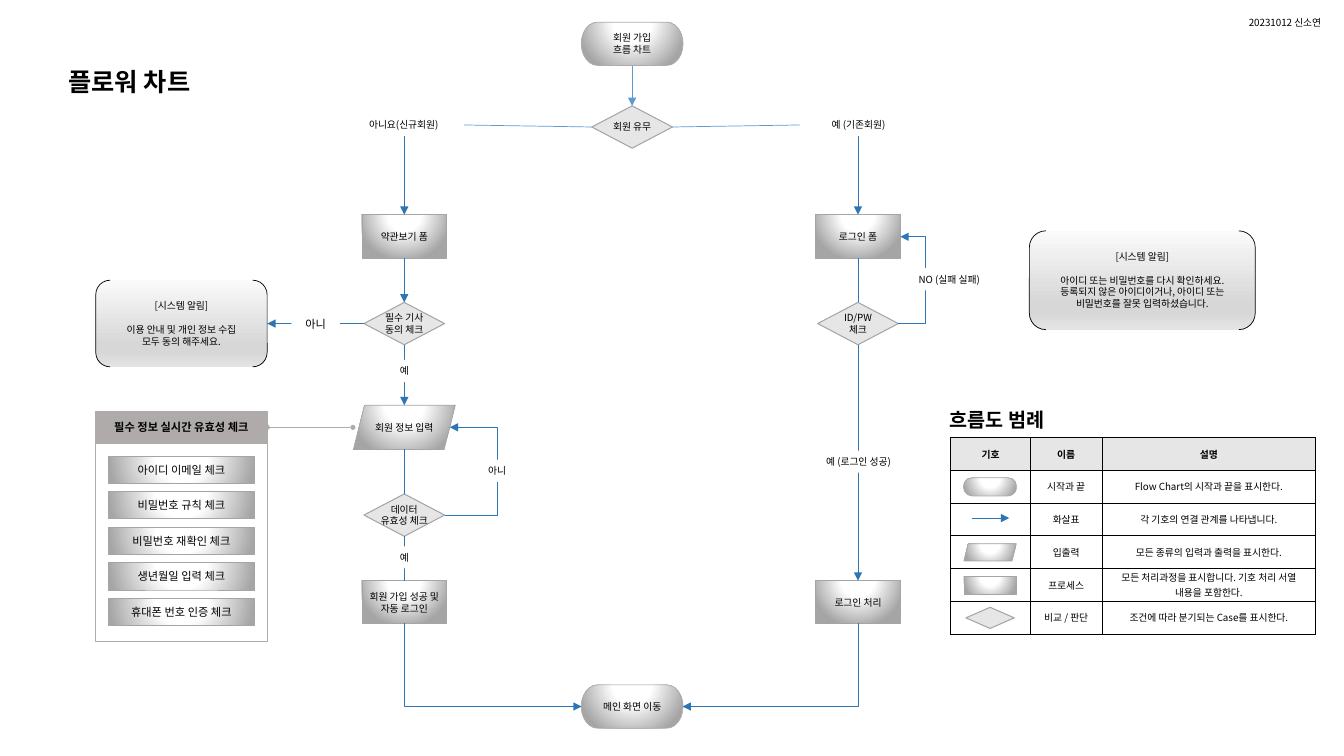
from lxml import etree
from pptx import Presentation
from pptx.dml.color import RGBColor
from pptx.enum.shapes import MSO_CONNECTOR as Wire, MSO_SHAPE as Kind
from pptx.enum.text import MSO_ANCHOR as Anchor, PP_ALIGN as Align
from pptx.oxml import parse_xml
from pptx.oxml.ns import nsdecls, qn
from pptx.util import Inches, Pt

FONT = "Noto Sans CJK KR"
COLORS = {"black": "000000", "white": "FFFFFF", "blue": "2E75B6", "sky": "5B9BD5",
          "gray": "AFABAB", "edge": "A5A5A5", "pale": "E7E6E6"}
METAL = ([(0, "FFFFFF"), (35, "FFFFFF"), (100, "A5A5A5")],
         '<a:path path="circle"><a:fillToRect l="50000" t="-80000" r="50000" b="180000"/></a:path>')
SILVER = ([(0, "FAFAFA"), (74, "D7D7D7"), (83, "D7D7D7"), (100, "E4E4E4")],
          '<a:lin ang="5400000" scaled="0"/>')
JOIN, LOGIN, MIDDLE = 4.01, 8.51, 6.27


def color(name):
    return RGBColor.from_string(COLORS[name])


class FlowPage:
    def __init__(self, deck):
        self.page = deck.slides.add_slide(deck.slide_layouts[5])
        self.shapes = self.page.shapes

    def set_text(self, frame, text, size=7, bold=False, align=Align.CENTER, margin=0,
                 wrap=False, anchor=Anchor.MIDDLE):
        frame.text = text
        frame.word_wrap = wrap
        frame.vertical_anchor = anchor
        frame.margin_left = frame.margin_right = Inches(margin)
        frame.margin_top = frame.margin_bottom = 0
        self.style_text(frame, size, bold, align)

    def style_text(self, frame, size, bold, align):
        for para in frame.paragraphs:
            para.alignment = align
            for span in para.runs:
                span.font.size, span.font.bold, span.font.name = Pt(size), bold, FONT
                span.font.color.rgb = color("black")
                etree.SubElement(span.font._element, qn("a:ea"), typeface=FONT)

    def title(self, text, left, top, width, height):
        box = self.shapes.title
        box.left, box.top, box.width, box.height = map(Inches, (left, top, width, height))
        self.set_text(box.text_frame, text, 18, True, Align.LEFT, 0.1, True)

    def label(self, text, left, top, width, height=0.22, fill=None, **style):
        box = self.shapes.add_textbox(*map(Inches, (left, top, width, height)))
        if fill:
            box.fill.solid()
            box.fill.fore_color.rgb = color(fill)
        self.set_text(box.text_frame, text, **style)

    def gradient(self, shape, recipe):
        stops, direction = recipe
        marks = "".join(f'<a:gs pos="{pos * 1000}"><a:srgbClr val="{tone}"/></a:gs>'
                        for pos, tone in stops)
        shape.fill.background()
        blank = shape._element.spPr.find(qn("a:noFill"))
        blank.getparent().replace(blank, parse_xml(
            f'<a:gradFill {nsdecls("a")} rotWithShape="1"><a:gsLst>{marks}</a:gsLst>'
            f'{direction}</a:gradFill>'))

    def node(self, kind, center, middle, width, height, text="", fill=METAL,
             line="edge", weight=0.5, **style):
        shape = self.shapes.add_shape(kind, *map(Inches, (
            center - width / 2, middle - height / 2, width, height)))
        shape.shadow.inherit = False
        if fill is None:
            shape.fill.background()
        elif isinstance(fill, str):
            shape.fill.solid()
            shape.fill.fore_color.rgb = color(fill)
        else:
            self.gradient(shape, fill)
        if line:
            shape.line.color.rgb = color(line)
            shape.line.width = Pt(weight)
        else:
            shape.line.fill.background()
        if text:
            self.set_text(shape.text_frame, text, **style)
        return shape

    def decision(self, center, middle, text="", width=0.8, height=0.42):
        self.node(Kind.DIAMOND, center, middle, width, height, text, "pale", weight=0.75)

    def alert(self, center, middle, width, height, text):
        shape = self.node(Kind.DOUBLE_BRACKET, center, middle, width, height,
                          text, SILVER, "black", margin=0.12, wrap=True)
        shape.text_frame.paragraphs[1].space_before = Pt(8.5)

    def line(self, x1, y1, x2, y2, tone="blue", arrow="tailEnd", wire=Wire.STRAIGHT):
        link = self.shapes.add_connector(wire, *map(Inches, (x1, y1, x2, y2)))
        link.line.color.rgb = color(tone)
        link.line.width = Pt(0.5)
        if arrow:
            etree.SubElement(link.line._get_or_add_ln(), qn(f"a:{arrow}"), type="triangle")
        etree.SubElement(link._element.spPr, qn("a:effectLst"))
        return link._element.spPr.find(qn("a:prstGeom"))

    def retry(self, x1, y1, x2, y2, turn):
        geometry = self.line(x1, y1, x2, y2, wire=Wire.ELBOW)
        ratio = round((turn - x1) / (x2 - x1) * 100000)
        guides = geometry.get_or_add_avLst()
        etree.SubElement(guides, qn("a:gd"), name="adj1", fmla=f"val {ratio}")

    def corner(self, x1, y1, x2, y2):
        self.line(x1, y1, x2, y2, arrow="headEnd", wire=Wire.ELBOW).set("prst", "bentConnector2")

    def table(self, left, top, widths, row_height, rows):
        frame = self.shapes.add_table(len(rows), len(widths), *map(Inches, (
            left, top, sum(widths), row_height * len(rows))))
        table = frame.table
        for column, width in zip(table.columns, widths):
            column.width = Inches(width)
        for index, row in enumerate(rows):
            table.rows[index].height = Inches(row_height)
            for place, text in enumerate(row):
                self.cell(table.cell(index, place), text, index == 0, 0.16 if place == 2 else 0.02)

    def cell(self, cell, text, header, margin):
        cell.text = text
        cell.vertical_anchor = Anchor.MIDDLE
        cell.margin_left = cell.margin_right = Inches(margin)
        cell.margin_top = cell.margin_bottom = 0
        self.style_text(cell.text_frame, 7, header, Align.CENTER)
        if not text:
            etree.SubElement(cell.text_frame.paragraphs[0]._p, qn("a:endParaRPr"), sz="700")
        for side in ("lnL", "lnR", "lnT", "lnB"):
            cell._tc.get_or_add_tcPr().append(parse_xml(
                f'<a:{side} {nsdecls("a")} w="6350"><a:solidFill><a:srgbClr '
                f'val="{COLORS["black"]}"/></a:solidFill></a:{side}>'))
        if header:
            cell.fill.solid()
            cell.fill.fore_color.rgb = color("pale")
        else:
            cell.fill.background()


deck = Presentation()
deck.slide_width, deck.slide_height = Inches(13.33), Inches(7.5)
flow = FlowPage(deck)
flow.title("플로워 차트", 0.58, 0.61, 2.55, 0.4)
flow.label("20231012 신소연", 12.16, 0.11, 1.17)

for middle, text in ((0.435, "회원 가입\n흐름 차트"), (7.01, "메인 화면 이동")):
    flow.node(Kind.FLOWCHART_TERMINATOR, MIDDLE, middle, 1.01, 0.43, text, line="gray")
for center, middle, text in ((JOIN, 2.345, "약관보기 폼"), (LOGIN, 2.345, "로그인 폼"),
                             (JOIN, 5.975, "회원 가입 성공 및\n자동 로그인"),
                             (LOGIN, 5.975, "로그인 처리")):
    flow.node(Kind.RECTANGLE, center, middle, 0.84, 0.43, text)
flow.node(Kind.PARALLELOGRAM, JOIN, 4.24, 1.01, 0.44, "회원 정보 입력")
for center, middle, text in ((MIDDLE, 1.26, "회원 유무"), (JOIN, 3.21, "필수 기사\n동의 체크"),
                             (LOGIN, 3.21, "ID/PW\n체크"), (JOIN, 5.11, "데이터\n유효성 체크")):
    flow.decision(center, middle, text)

flow.node(Kind.RECTANGLE, 1.8, 5.22, 1.7, 2.28, fill=None, line="gray")
flow.node(Kind.RECTANGLE, 1.8, 4.24, 1.7, 0.32, "필수 정보 실시간 유효성 체크", "gray", "gray",
          size=8, bold=True)
checks = ("아이디 이메일 체크", "비밀번호 규칙 체크", "비밀번호 재확인 체크",
          "생년월일 입력 체크", "휴대폰 번호 인증 체크")
for index, text in enumerate(checks):
    flow.node(Kind.RECTANGLE, 1.8, 4.66 + index * 0.353, 1.44, 0.27, text, size=8)

flow.line(MIDDLE, 0.65, MIDDLE, 1.05, "sky")
flow.line(5.87, 1.26, 4.6, 1.24, "sky", None)
flow.line(7.93, 1.24, 6.67, 1.26, "sky", None)
for center, start, end in ((JOIN, 1.35, 2.13), (LOGIN, 1.35, 2.13), (LOGIN, 3.42, 5.76),
                           (JOIN, 2.56, 3), (JOIN, 3.42, 4.02)):
    flow.line(center, start, center, end)
for center, start, end in ((LOGIN, 2.56, 3), (JOIN, 4.45, 4.9), (JOIN, 5.32, 5.76)):
    flow.line(center, start, center, end, arrow=None)
flow.line(3.61, 3.21, 2.65, 3.21)
flow.line(2.65, 4.24, 3.47, 4.24, "gray", None)
for center in (2.65, 3.5):
    flow.node(Kind.OVAL, center, 4.24, 0.05, 0.05, fill="gray", line=None)
flow.retry(4.41, 5.11, 4.46, 4.24, 4.93)
flow.retry(8.91, 3.21, 8.93, 2.35, 9.18)
flow.corner(5.77, 7.01, JOIN, 6.18)
flow.corner(6.77, 7.01, LOGIN, 6.18)

flow.alert(1.8, 3.21, 1.7, 0.86, "[시스템 알림]\n이용 안내 및 개인 정보 수집\n모두 동의 해주세요.")
flow.alert(11.33, 2.78, 2.24, 0.98, "[시스템 알림]\n아이디 또는 비밀번호를 다시 확인하세요."
           "등록되지 않은 아이디이거나, 아이디 또는 비밀번호를 잘못 입력하셨습니다.")

flow.label("아니요(신규회원)", 3.42, 1.13, 1.17)
flow.label("예 (기존회원)", 7.93, 1.13, 1.17)
flow.label("아니", 2.89, 3.09, 0.48, 0.24, "white", size=8)
for text, left, top, width in (("NO (실패 실패)", 8.91, 2.66, 1.01), ("예", 3.83, 3.57, 0.36),
                               ("아니", 4.69, 4.56, 0.48), ("예 (로그인 성공)", 8.01, 4.47, 1.01),
                               ("예", 3.77, 5.42, 0.48)):
    flow.label(text, left, top, width, fill="white")

flow.label("흐름도 범례", 9.32, 3.99, 1.25, 0.34, size=14, bold=True, align=Align.LEFT, margin=0.1)
flow.table(9.43, 4.34, (0.79, 0.71, 2.12), 0.325, (
    ("기호", "이름", "설명"),
    ("", "시작과 끝", "Flow Chart의 시작과 끝을 표시한다."),
    ("", "화살표", "각 기호의 연결 관계를 나타냅니다."),
    ("", "입출력", "모든 종류의 입력과 출력을 표시한다."),
    ("", "프로세스", "모든 처리과정을 표시합니다. 기호 처리 서열 내용을 포함한다."),
    ("", "비교 / 판단", "조건에 따라 분기되는 Case를 표시한다.")))
flow.node(Kind.FLOWCHART_TERMINATOR, 9.82, 4.83, 0.53, 0.18, line="gray")
flow.line(9.64, 5.14, 10.01, 5.14)
flow.node(Kind.PARALLELOGRAM, 9.82, 5.48, 0.52, 0.17)
flow.node(Kind.RECTANGLE, 9.82, 5.81, 0.52, 0.18)
flow.decision(9.82, 6.13, width=0.48, height=0.21)

deck.save("out.pptx")
